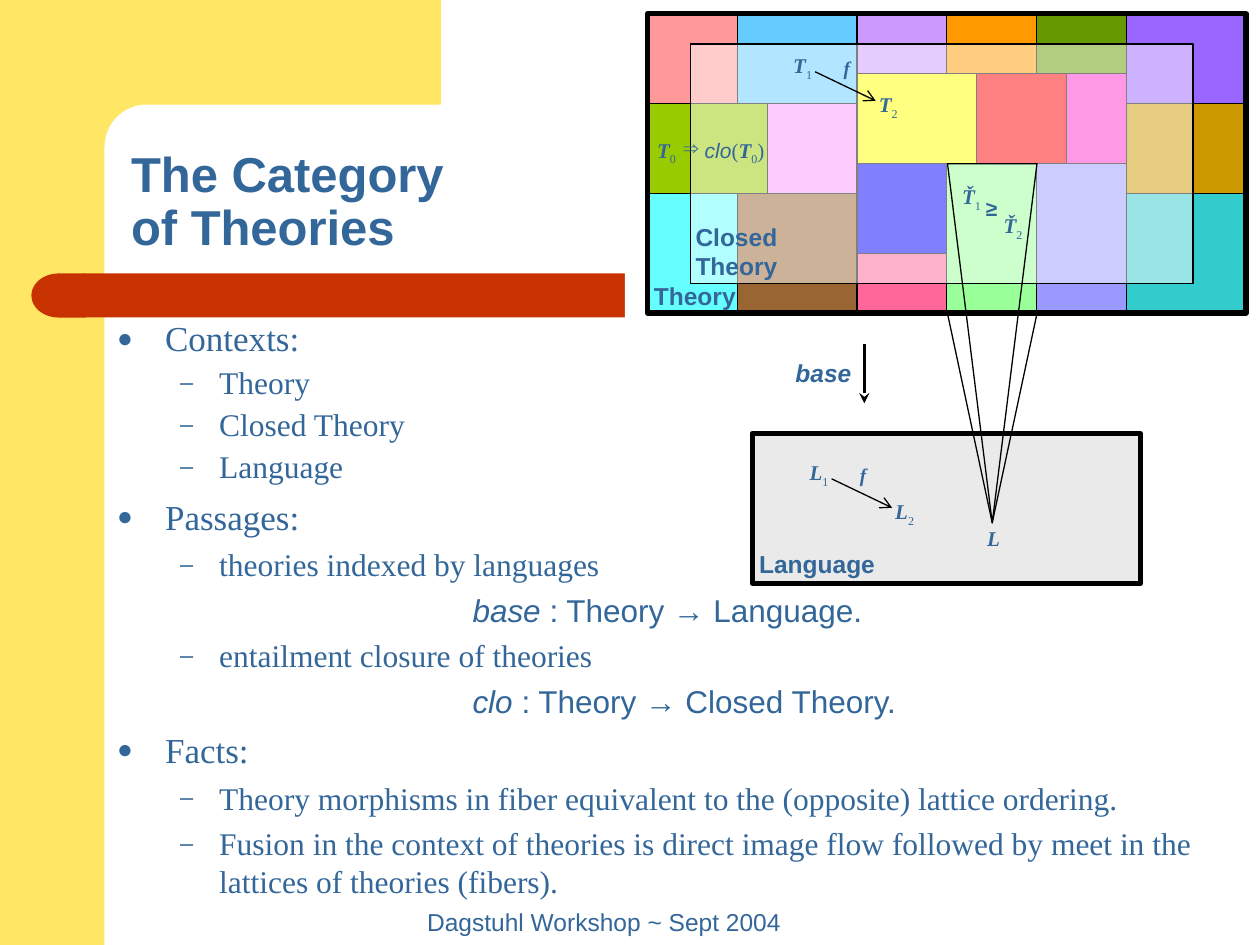
from lxml.etree import SubElement
from pptx import Presentation
from pptx.dml.color import RGBColor
from pptx.enum.shapes import MSO_CONNECTOR, MSO_SHAPE
from pptx.enum.text import MSO_ANCHOR, MSO_AUTO_SIZE, PP_ALIGN
from pptx.oxml.ns import qn
from pptx.util import Inches, Pt

BLUE = RGBColor(0x33, 0x66, 0x99)
YELLOW = RGBColor(0xFF, 0xE6, 0x64)
RED = RGBColor(0xC8, 0x32, 0x00)
WHITE = RGBColor(0xFF, 0xFF, 0xFF)
BLACK = RGBColor(0x00, 0x00, 0x00)
GREY = RGBColor(0xEA, 0xEA, 0xEA)
SANS, SERIF = "Arial", "Times New Roman"

# Mosaic: column, row, columns wide, rows high (grid units), colour
UNIT, MOSAIC_X, MOSAIC_Y = 0.2375, 5.14, 0.11
TILES = [
    (14, 2, 2, 3, "FF33CC"), (16, 3, 4, 3, "CC9900"), (3, 6, 4, 4, "996633"),
    (11, 2, 3, 3, "FF0000"), (0, 6, 3, 4, "66FFFF"), (7, 5, 3, 3, "0000FF"),
    (4, 3, 3, 3, "FF99FF"), (0, 0, 3, 3, "FF9999"), (16, 6, 4, 4, "33CCCC"),
    (7, 2, 4, 3, "FFFF00"), (3, 0, 4, 3, "66CCFF"), (0, 3, 4, 3, "99CC00"),
    (13, 5, 3, 5, "9999FF"), (10, 5, 3, 5, "99FF99"), (7, 0, 3, 2, "CC99FF"),
    (13, 0, 3, 2, "669900"), (10, 0, 3, 2, "FF9900"), (7, 8, 3, 2, "FF6699"),
    (16, 0, 4, 3, "9966FF"),
]

CONTEXTS = [(0, "Contexts:"), (1, "Theory"), (1, "Closed Theory"), (1, "Language")]
# An entry with a third part is an equation: italic name, then the rest
PASSAGES = [
    (0, "Passages:"),
    (1, "theories indexed by languages"),
    (1, "base", " : Theory → Language."),
    (1, "entailment closure of theories"),
    (1, "clo", " : Theory → Closed Theory."),
    (0, "Facts:"),
    (1, "Theory morphisms in fiber equivalent to the (opposite) lattice ordering."),
    (1, "Fusion in the context of theories is direct image flow followed by "
        "meet in the lattices of theories (fibers)."),
]


def write(p, text, size=12, font=SANS, bold=False, italic=False, sub=False):
    r = p.add_run()
    r.text = text
    f = r.font
    f.size, f.name, f.bold, f.italic = Pt(size), font, bold, italic
    f.color.rgb = BLUE
    if sub:
        f._element.set("baseline", "-25000")


def symbol(p, letter, index="", size=12):
    write(p, letter, size, SERIF, bold=True, italic=True)
    if index:
        write(p, index, size, SERIF, sub=True)


def set_list_format(p, left, hanging=0, bullet=None):
    pPr = p._p.get_or_add_pPr()
    pPr.set("marL", str(Inches(left)))
    pPr.set("indent", str(-Inches(hanging)))
    if bullet:
        SubElement(SubElement(pPr, qn("a:buClr")), qn("a:srgbClr"), val=str(BLUE))
        SubElement(pPr, qn("a:buSzPct"), val="75000")
        SubElement(pPr, qn("a:buChar"), char=bullet)
    else:
        SubElement(pPr, qn("a:buNone"))


class SlideBuilder:
    def __init__(self, s):
        self.s = s

    def shape(self, box, fill=None, line=None, kind=MSO_SHAPE.RECTANGLE,
              adj=None, flip=None, alpha=None):
        sp = self.s.shapes.add_shape(kind, *map(Inches, box))
        sp.shadow.inherit = False
        if adj is not None:
            sp.adjustments[0] = adj
        if fill is None:
            sp.fill.background()
        else:
            sp.fill.solid()
            sp.fill.fore_color.rgb = fill
        if alpha:
            color = sp._element.spPr.find(".//" + qn("a:srgbClr"))
            SubElement(color, qn("a:alpha"), val=str(alpha * 1000))
        if line:
            sp.line.color.rgb = BLACK
            sp.line.width = Pt(line)
        else:
            sp.line.fill.background()
        if flip:
            sp._element.spPr.xfrm.set(flip, "1")

    def arrow(self, start, end, width=0.75, head="arrow"):
        c = self.s.shapes.add_connector(MSO_CONNECTOR.STRAIGHT, *map(Inches, start + end))
        c.line.color.rgb = BLACK
        c.line.width = Pt(width)
        SubElement(c.line._get_or_add_ln(), qn("a:tailEnd"), type=head)
        SubElement(c._element.spPr, qn("a:effectLst"))

    def label(self, x, y, w=0.28, h=0.19):
        """Add an empty centred label and return its text frame."""
        tf = self.s.shapes.add_textbox(*map(Inches, (x, y, w, h))).text_frame
        tf.word_wrap = True
        tf.margin_left = tf.margin_right = tf.margin_top = tf.margin_bottom = 0
        tf.paragraphs[0].alignment = PP_ALIGN.CENTER
        return tf

    def text(self, box, text, **style):
        tf = self.label(*box)
        for i, line in enumerate(text.split("\n")):
            p = tf.add_paragraph() if i else tf.paragraphs[0]
            p.alignment = PP_ALIGN.CENTER
            write(p, line, **style)
        return tf

    def symbol(self, box, letter, index="", size=12):
        symbol(self.label(*box).paragraphs[0], letter, index, size)

    def placeholder(self, idx, box, anchor=MSO_ANCHOR.TOP):
        """Place a template placeholder in front of what is already drawn."""
        ph = self.s.placeholders[idx]
        ph.left, ph.top, ph.width, ph.height = map(Inches, box)
        self.s.shapes._spTree.append(ph._element)
        tf = ph.text_frame
        tf.auto_size = MSO_AUTO_SIZE.NONE
        tf.vertical_anchor = anchor
        return tf

    def title(self, box, text):
        p = self.placeholder(0, box, MSO_ANCHOR.BOTTOM).paragraphs[0]
        p.alignment = PP_ALIGN.LEFT
        p.line_spacing = 0.9
        write(p, text, 28, bold=True)

    def outline(self, idx, box, items, spacing):
        tf = self.placeholder(idx, box)
        for i, (level, text, *rest) in enumerate(items):
            p = tf.add_paragraph() if i else tf.paragraphs[0]
            p.level = level
            if rest:
                set_list_format(p, 2.82)
                write(p, text, 18, italic=True)
                write(p, rest[0], 18)
            else:
                set_list_format(p, *[(0.38, 0.38, "●"), (0.81, 0.31, "–")][level])
                write(p, text, (20, 18)[level], SERIF)
            p.line_spacing = spacing
            p.space_before = Pt((5, 4.5)[level] if i else 0)


def main():
    prs = Presentation()
    prs.slide_width, prs.slide_height = Inches(10), Inches(7.5)
    b = SlideBuilder(prs.slides.add_slide(prs.slide_layouts[3]))

    # Backdrop and red title bar
    b.shape((0, 0, 0.83, 7.5), YELLOW)
    b.shape((0.75, 0, 2.75, 1.17), YELLOW)
    b.shape((0.83, 0.83, 5.58, 0.67), WHITE, kind=MSO_SHAPE.ROUNDED_RECTANGLE, adj=0.5)
    b.shape((0.67, 2.17, 7.67, 0.35), RED)
    b.shape((0.25, 2.17, 0.43, 0.35), RED, kind=MSO_SHAPE.FLOWCHART_DELAY, flip="flipH")
    b.shape((4.96, 2.08, 3.7, 0.5), WHITE)

    # Title and lists
    b.title((0.94, 0.83, 2.98, 1.25), "The Category of Theories")
    b.outline(1, (0.83, 2.5, 4.67, 1.42), CONTEXTS, 0.9)
    b.outline(2, (0.83, 3.88, 9.2, 3.6), PASSAGES, 1.0)

    # Theory mosaic with the closed theories veiled
    for col, row, cols, rows, color in TILES:
        b.shape((MOSAIC_X + col * UNIT, MOSAIC_Y + row * UNIT, cols * UNIT, rows * UNIT),
                RGBColor.from_string(color), 0.75)
    b.shape((MOSAIC_X, MOSAIC_Y, 20 * UNIT, 10 * UNIT), line=3)
    b.text((5.16, 2.23, 0.71, 0.24), "Theory", size=14, bold=True)
    b.shape((5.48, 0.35, 3.99, 1.9), WHITE, 1, alpha=50)
    b.text((5.49, 1.76, 0.71, 0.47), "Closed\nTheory", size=14, bold=True)

    # Closure and lattice order
    b.symbol((5.17, 1.09, 0.24), "T", "0")
    b.text((5.39, 1.07, 0.19, 0.24), "⇒")
    p = b.text((5.57, 1.09, 0.52), "clo", italic=True).paragraphs[0]
    write(p, "(", font=SERIF)
    symbol(p, "T", "0")
    write(p, ")", font=SERIF)
    b.symbol((7.57, 1.46), "Ť", "1")
    b.symbol((7.9, 1.69), "Ť", "2")
    b.text((7.75, 1.55, 0.24, 0.24), "≥", bold=True)

    # Language panel
    b.shape((5.97, 3.44, 3.08, 1.19), GREY, 3)
    b.text((6.01, 4.36, 0.95, 0.24), "Language", size=14, bold=True)
    b.symbol((7.79, 4.17, 0.19), "L")

    # The morphism f between theories and between languages
    for letter, x, y in (("T", 6.23, 0.42), ("L", 6.36, 3.65)):
        b.arrow((x + 0.24, y + 0.15), (x + 0.72, y + 0.38))
        b.symbol((x, y), letter, "1")
        b.symbol((x + 0.68, y + 0.31), letter, "2")
        b.symbol((x + 0.35, y + 0.03), "f", size=11)

    # Fiber over L and the base passage
    for top in (1.3, 2.49):
        b.shape((7.52, top, 0.71, 4.15 - top), line=0.75,
                kind=MSO_SHAPE.ISOSCELES_TRIANGLE, flip="flipV")
    b.arrow((6.86, 2.73), (6.86, 3.2), 1.5, "stealth")
    b.text((6.25, 2.84, 0.57, 0.24), "base", size=14, bold=True, italic=True)

    # Footer
    tf = b.text((3.21, 7.14, 3.17, 0.34), "Dagstuhl Workshop ~ Sept 2004", size=14)
    tf.vertical_anchor = MSO_ANCHOR.BOTTOM
    tf.margin_bottom = Inches(0.05)

    prs.save("out.pptx")


if __name__ == "__main__":
    main()
